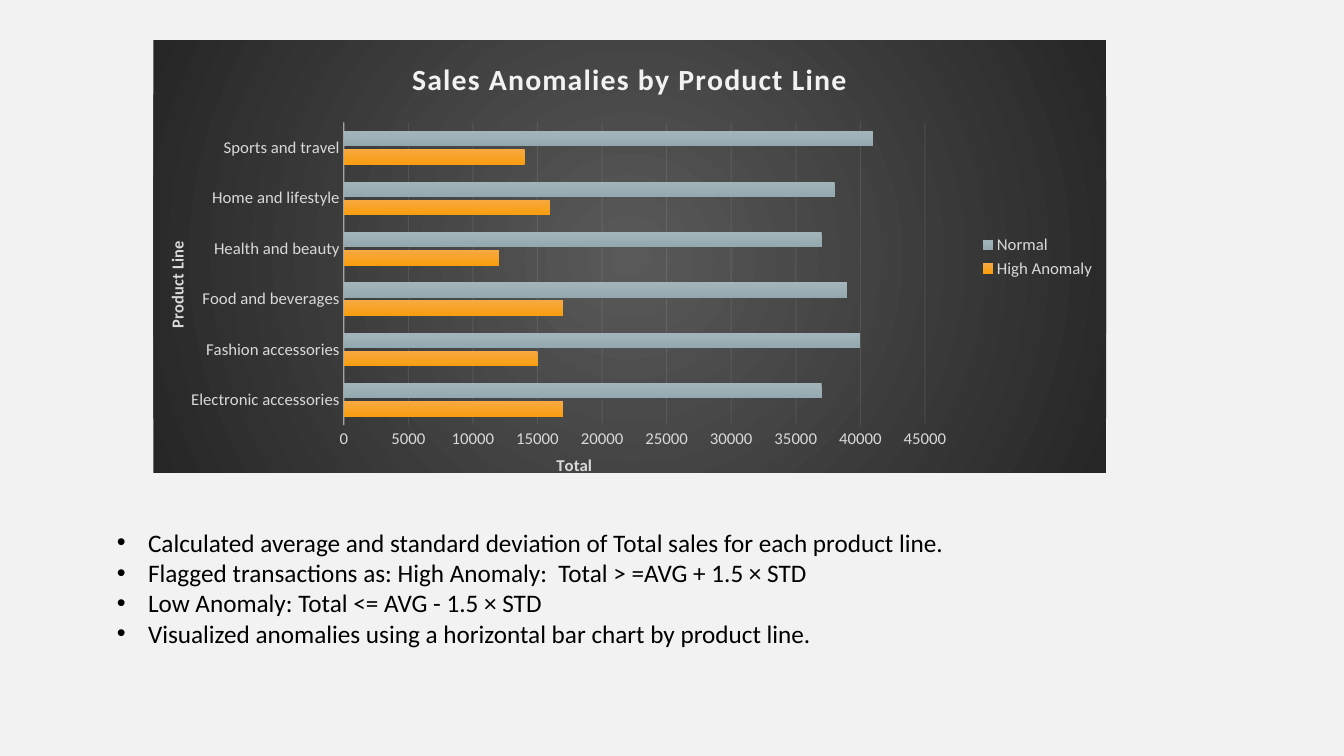
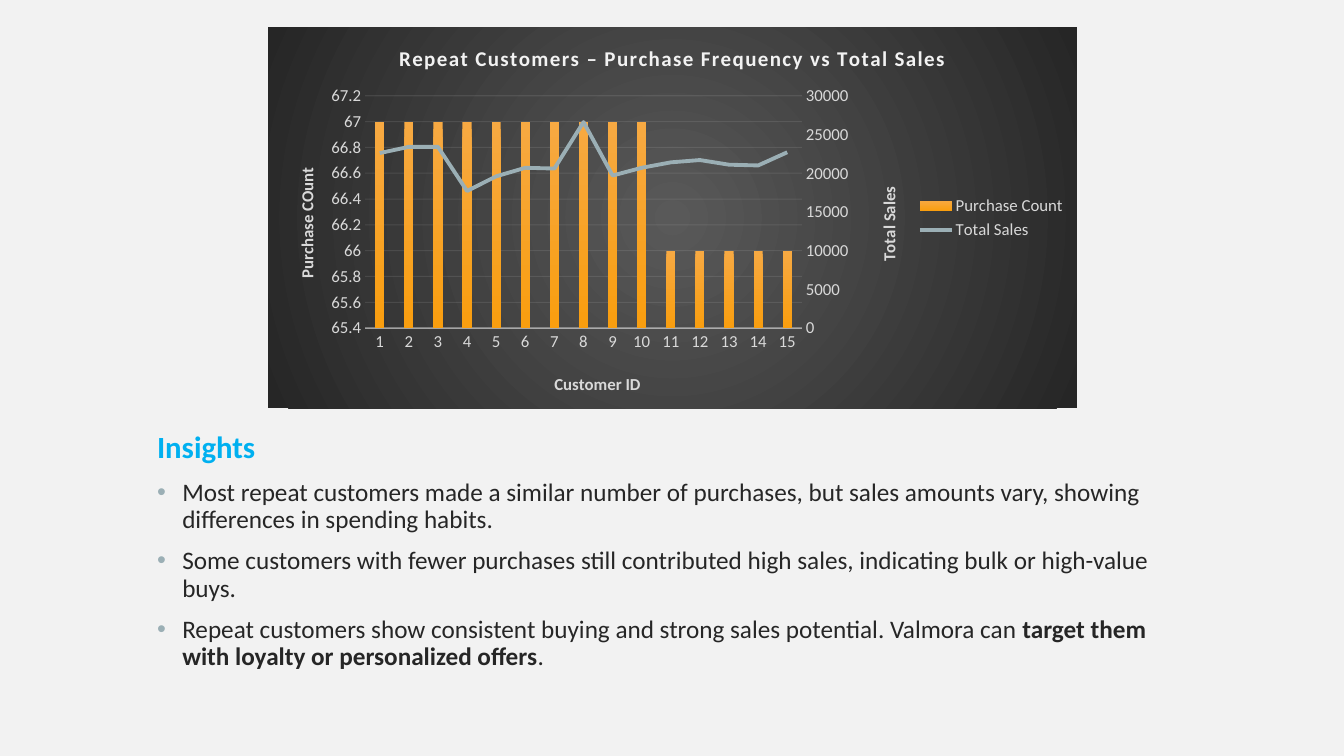
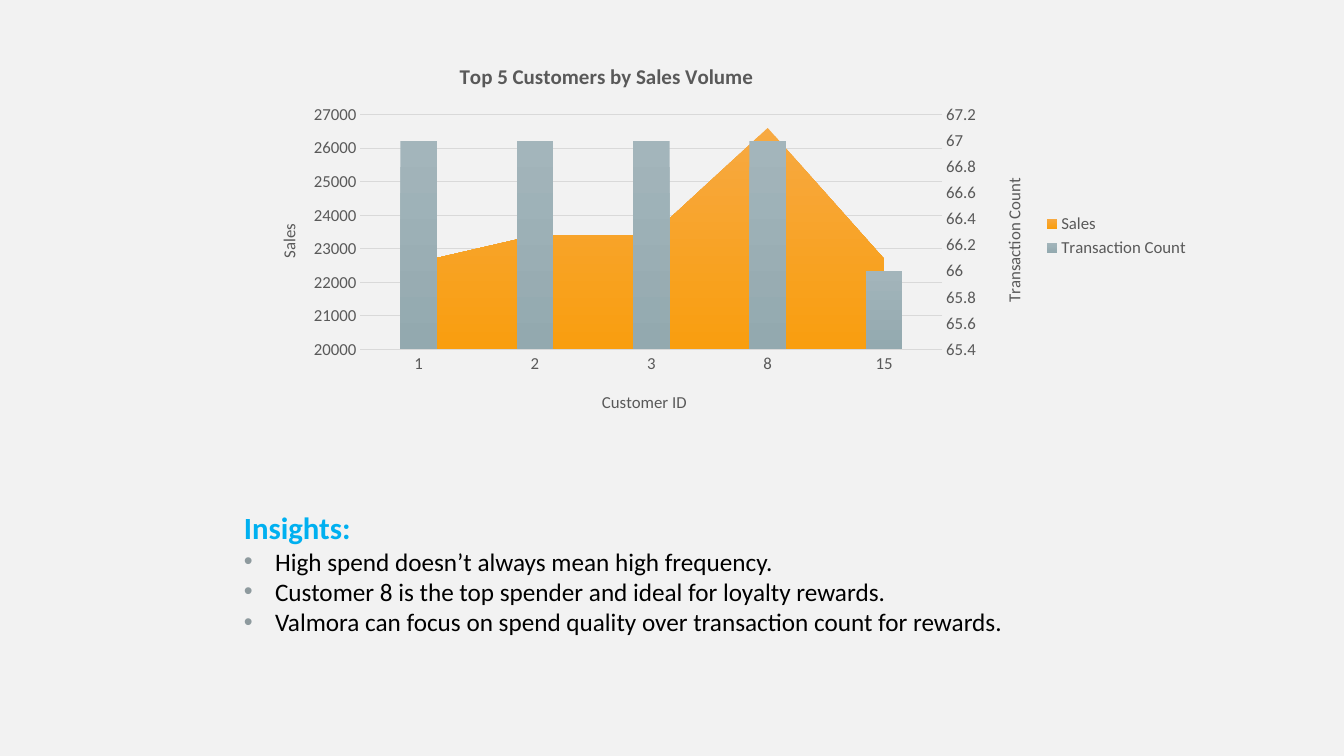
from copy import deepcopy
from pptx import Presentation
from pptx.chart.axis import CategoryAxis, ValueAxis
from pptx.chart.data import CategoryChartData
from pptx.dml.color import RGBColor
from pptx.enum.chart import XL_CHART_TYPE, XL_LEGEND_POSITION, XL_TICK_MARK
from pptx.oxml import parse_xml
from pptx.oxml.ns import nsdecls, qn
from pptx.util import Inches, Pt

FONT = "Calibri"
PAPER, BLACK, INK, BLUE = "F2F2F2", "000000", "262626", "00B0F0"
STEEL, GRAY = "9BAFB5", "8E9A9E"
GOLD_FADE = ("F7A942", "F99E0F")
STEEL_FADE = ("A3B5BB", "93A9AF")
DARK = dict(dark=True, text="D9D9D9", title="F2F2F2", axis="F2F2F2", grid="F2F2F2")
LIGHT = dict(dark=False, text="595959", title="595959", axis="D9D9D9", grid="D9D9D9")


def color(code):
    return RGBColor.from_string(code)


def style(font, size, code, bold=False):
    font.name = FONT
    font.size = Pt(size)
    font.bold = bold
    font.color.rgb = color(code)


def place(node, x, y, w=None, h=None):
    for old in node.findall(qn("c:layout")):
        node.remove(old)
    inner = '<c:layoutTarget val="inner"/>' if w else ""
    size = f'<c:w val="{w}"/><c:h val="{h}"/>' if w else ""
    layout = parse_xml(
        f'<c:layout {nsdecls("c")}><c:manualLayout>{inner}'
        f'<c:xMode val="edge"/><c:yMode val="edge"/>'
        f'<c:x val="{x}"/><c:y val="{y}"/>{size}</c:manualLayout></c:layout>')
    text = node.find(qn("c:tx"))
    node.insert(0 if text is None else 1, layout)


def label(axis, text, spot, look, turn):
    title = axis.axis_title
    title.text_frame.text = text
    style(title.text_frame.paragraphs[0].runs[0].font, 12, look["text"], look["dark"])
    for body in title.element.xpath(".//a:bodyPr"):
        body.set("rot", "-5400000" if turn else "0")
        body.set("vert", "horz")
    place(title.element, *spot)


def scale(axis, low, high, step):
    axis.minimum_scale, axis.maximum_scale, axis.major_unit = low, high, step


def paint(series, fade):
    fill = series.format.fill
    fill.gradient()
    fill.gradient_angle = 270
    for stop, code in zip(fill.gradient_stops, fade):
        stop.color.rgb = color(code)


def backdrop(chart, dark):
    fill = "<a:noFill/>"
    if dark:
        fill = ('<a:gradFill><a:gsLst><a:gs pos="0"><a:srgbClr val="595959"/></a:gs>'
                '<a:gs pos="100000"><a:srgbClr val="262626"/></a:gs></a:gsLst>'
                '<a:path path="circle"><a:fillToRect l="50000" t="50000" r="50000" b="50000"/>'
                '</a:path></a:gradFill>')
    chart.element.find(qn("c:chart")).addnext(parse_xml(
        f'<c:spPr {nsdecls("c", "a")}>{fill}<a:ln><a:noFill/></a:ln></c:spPr>'))


def fade(chart, where, share):
    for node in chart.element.xpath(f"{where}/c:spPr//a:srgbClr"):
        node.append(parse_xml(f'<a:alpha {nsdecls("a")} val="{share * 1000}"/>'))


def draw_chart(slide, box, kind, cats, series, look, title, size, plot, cat, val):
    data = CategoryChartData()
    data.categories = cats
    for name, values in series:
        data.add_series(name, values)
    chart = slide.shapes.add_chart(kind, *map(Inches, box), data).chart
    style(chart.font, 12, look["text"])
    backdrop(chart, look["dark"])
    chart.has_title = True
    frame = chart.chart_title.text_frame
    frame.text = title
    run = frame.paragraphs[0].runs[0]
    style(run.font, size, look["title"], True)
    if look["dark"]:
        for props in chart.chart_title.element.xpath(".//a:r/a:rPr"):
            props.set("spc", "100")
    chart.has_legend = True
    chart.legend.position = XL_LEGEND_POSITION.RIGHT
    chart.legend.include_in_layout = False
    style(chart.legend.font, 12, look["text"])
    chart.plots[0].vary_by_categories = False
    flat = kind == XL_CHART_TYPE.BAR_CLUSTERED
    for axis, name, turn in ((chart.category_axis, cat, flat), (chart.value_axis, val, not flat)):
        axis.major_tick_mark = axis.minor_tick_mark = XL_TICK_MARK.NONE
        style(axis.tick_labels.font, 12, look["text"])
        label(axis, *name, look, turn)
    line = chart.category_axis.format.line
    line.width = Pt(1)
    line.color.rgb = color(look["axis"])
    axis = chart.value_axis
    axis.format.line.fill.background()
    axis.has_major_gridlines = True
    grid = axis.major_gridlines.format.line
    grid.width = Pt(0.75)
    grid.color.rgb = color(look["grid"])
    if look["dark"]:
        fade(chart, "//c:catAx", 54)
        fade(chart, "//c:majorGridlines", 10)
    place(chart.element.xpath("//c:plotArea")[0], *plot)
    return chart


def add_right(chart, tag, name, look, limits):
    area = chart.element.xpath("//c:plotArea")[0]
    first = area.xpath("./*[c:ser]")[0]
    head, tail = {
        "lineChart": ('<c:grouping val="standard"/>', '<c:marker val="1"/>'),
        "barChart": ('<c:barDir val="col"/><c:grouping val="clustered"/>',
                     '<c:gapWidth val="219"/>'),
    }[tag]
    second = parse_xml(
        f'<c:{tag} {nsdecls("c")}>{head}<c:varyColors val="0"/>{tail}'
        f'<c:axId val="5001"/><c:axId val="5002"/></c:{tag}>')
    moved = first.findall(qn("c:ser"))[1]
    for node in moved.findall(qn("c:invertIfNegative")):
        moved.remove(node)
    second.find(qn("c:varyColors")).addnext(moved)
    first.addnext(second)
    cat, val = area.find(qn("c:catAx")), area.find(qn("c:valAx"))
    for node in val.findall(qn("c:crossBetween")):
        node.set("val", "between")
    right, hidden = deepcopy(val), deepcopy(cat)
    val.addnext(right)
    right.addnext(hidden)
    for node, own, other in ((right, "5002", "5001"), (hidden, "5001", "5002")):
        node.find(qn("c:axId")).set("val", own)
        node.find(qn("c:crossAx")).set("val", other)
    right.find(qn("c:axPos")).set("val", "r")
    for node in right.findall(qn("c:crosses")):
        node.set("val", "max")
    CategoryAxis(hidden).has_title = False
    CategoryAxis(hidden).visible = False
    axis = ValueAxis(right)
    axis.has_major_gridlines = False
    label(axis, *name, look, True)
    scale(axis, *limits)
    return chart.plots[1].series[0]


def add_text(slide, box, lines, head=None, ink=BLACK, dot=None, indent=0.31, gap=0, lead=None):
    frame = slide.shapes.add_textbox(*map(Inches, box)).text_frame
    frame.word_wrap = True
    rows = ([head] if head else []) + lines
    for i, row in enumerate(rows):
        para = frame.paragraphs[0] if i == 0 else frame.add_paragraph()
        top = row is head
        if not top:
            props = para._p.get_or_add_pPr()
            props.set("marL", str(Inches(indent)))
            props.set("indent", str(-Inches(indent)))
            if dot:
                props.append(parse_xml(
                    f'<a:buClr {nsdecls("a")}><a:srgbClr val="{dot}"/></a:buClr>'))
            props.append(parse_xml(f'<a:buFont {nsdecls("a")} typeface="Arial"/>'))
            props.append(parse_xml(f'<a:buChar {nsdecls("a")} char="•"/>'))
        if lead:
            para.line_spacing = lead
        if gap and i:
            para.space_before = Pt(gap)
        for n, part in enumerate(row.split("**")):
            run = para.add_run()
            run.text = part
            style(run.font, 22 if top else 18, BLUE if top else ink, top or n % 2 == 1)


def anomaly_slide(slide):
    chart = draw_chart(
        slide, (1.52, 0.4, 9.45, 4.37), XL_CHART_TYPE.BAR_CLUSTERED,
        ["Electronic accessories", "Fashion accessories", "Food and beverages",
         "Health and beauty", "Home and lifestyle", "Sports and travel"],
        [("High Anomaly", (17000, 15000, 17000, 12000, 16000, 14000)),
         ("Normal", (37000, 40000, 39000, 37000, 38000, 41000))],
        DARK, "Sales Anomalies by Product Line", 21.3, (0.2, 0.19, 0.61, 0.7),
        ("Product Line", (0.01, 0.46)), ("Total", (0.42, 0.95)))
    scale(chart.value_axis, 0, 45000, 5000)
    plot = chart.plots[0]
    plot.gap_width, plot.overlap = 115, -20
    for series, tones in zip(plot.series, (GOLD_FADE, STEEL_FADE)):
        paint(series, tones)
    add_text(slide, (1.06, 5.18, 11.65, 1.31), [
        "Calculated average and standard deviation of Total sales for each product line.",
        "Flagged transactions as: High Anomaly:  Total > =AVG + 1.5 × STD",
        "Low Anomaly: Total <= AVG - 1.5 × STD",
        "Visualized anomalies using a horizontal bar chart by product line."])


def repeat_slide(slide):
    chart = draw_chart(
        slide, (2.66, 0.27, 8.02, 3.78), XL_CHART_TYPE.COLUMN_CLUSTERED,
        [str(n) for n in range(1, 16)],
        [("Purchase Count", [67] * 10 + [66] * 5),
         ("Total Sales", (22600, 23400, 23400, 17700, 19600, 20700, 20600, 26600,
                          19700, 20700, 21400, 21700, 21100, 21000, 22700))],
        DARK, "Repeat Customers – Purchase Frequency vs Total Sales", 15,
        (0.12, 0.18, 0.54, 0.61),
        ("Customer ID", (0.35, 0.9)), ("Purchase COunt", (0.03, 0.36)))
    scale(chart.value_axis, 65.4, 67.2, 0.2)
    chart.plots[0].gap_width = 219
    paint(chart.plots[0].series[0], GOLD_FADE)
    sales = add_right(chart, "lineChart", ("Total Sales", (0.75, 0.41)), DARK, (0, 30000, 5000))
    sales.smooth = False
    sales.marker.style = None
    sales.marker.format.fill.background()
    sales._element.find(qn("c:marker")).insert(
        0, parse_xml(f'<c:symbol {nsdecls("c")} val="none"/>'))
    sales.format.line.width = Pt(2.75)
    sales.format.line.color.rgb = color(STEEL)
    add_text(slide, (1.46, 4.24, 10.4, 2.68), [
        "Most repeat customers made a similar number of purchases, but sales amounts vary, "
        "showing differences in spending habits.",
        "Some customers with fewer purchases still contributed high sales, indicating bulk "
        "or high-value buys.",
        "Repeat customers show consistent buying and strong sales potential. Valmora can "
        "**target them with loyalty or personalized offers**."],
        "Insights", INK, STEEL, 0.25, 10, 0.9)


def top_slide(slide):
    chart = draw_chart(
        slide, (2.44, 0.46, 9.46, 3.76), XL_CHART_TYPE.AREA_STACKED,
        ["1", "2", "3", "8", "15"],
        [("Sales", (22600, 23400, 23400, 26600, 22700)),
         ("Transaction Count", (67, 67, 67, 67, 66))],
        LIGHT, "Top 5 Customers by Sales Volume", 15, (0.12, 0.18, 0.61, 0.62),
        ("Customer ID", (0.37, 0.9)), ("Sales", (0.03, 0.46)))
    place(chart.chart_title.element, 0.22, 0.03)
    scale(chart.value_axis, 20000, 27000, 1000)
    paint(chart.plots[0].series[0], GOLD_FADE)
    count = add_right(chart, "barChart", ("Transaction Count", (0.79, 0.34)), LIGHT,
                      (65.4, 67.2, 0.2))
    paint(count, STEEL_FADE)
    add_text(slide, (2.32, 5, 9.71, 1.38), [
        "High spend doesn’t always mean high frequency.",
        "Customer 8 is the top spender and ideal for loyalty rewards.",
        "Valmora can focus on spend quality over transaction count for rewards."],
        "Insights:", BLACK, GRAY)


def main():
    deck = Presentation()
    deck.slide_width, deck.slide_height = Inches(13.33), Inches(7.5)
    fill = deck.slide_master.background.fill
    fill.solid()
    fill.fore_color.rgb = color(PAPER)
    for build in (anomaly_slide, repeat_slide, top_slide):
        build(deck.slides.add_slide(deck.slide_layouts[6]))
    deck.save("out.pptx")


if __name__ == "__main__":
    main()
